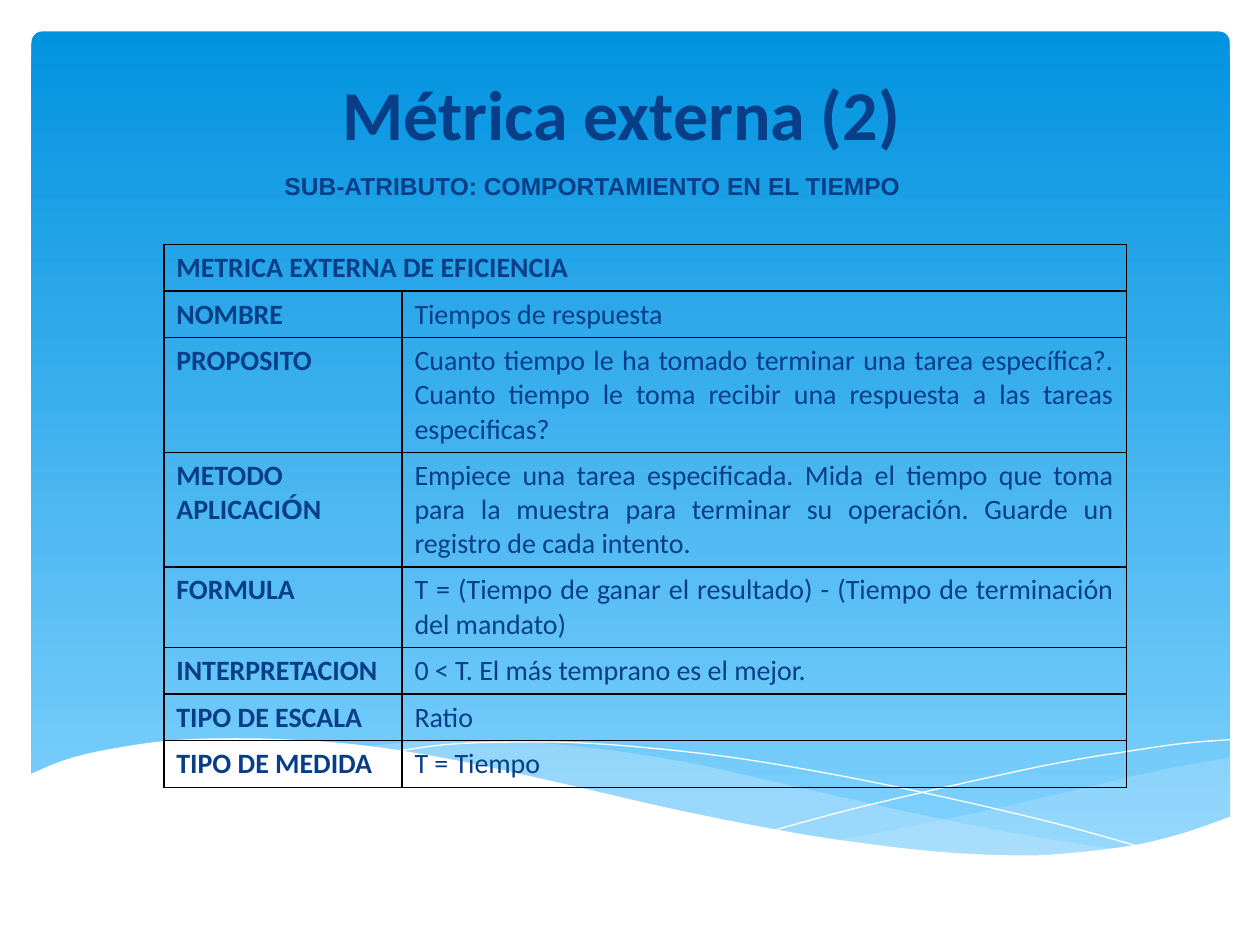
import pptx
import pptx.util
import pptx.dml.color
import pptx.enum.shapes
import pptx.enum.text
import pptx.oxml
import pptx.oxml.ns
import lxml.etree

Inches = pptx.util.Inches
Pt = pptx.util.Pt
ALIGN = pptx.enum.text.PP_ALIGN
ANCHOR = pptx.enum.text.MSO_ANCHOR
NAVY, WHITE, MIST = "073E87", "FFFFFF", "C6E7FC"
SKY = ("0293E0", "83D3FE")

HEADING = "Métrica externa (2)"
SUBATTRIBUTE = "SUB-ATRIBUTO: COMPORTAMIENTO EN EL TIEMPO"
METRIC_HEADER = "METRICA EXTERNA DE EFICIENCIA"
METRIC = [
    ("NOMBRE", "Tiempos de respuesta", 1),
    ("PROPOSITO", "Cuanto tiempo le ha tomado terminar una tarea específica?. "
     "Cuanto tiempo le toma recibir una respuesta a las tareas especificas?", 3),
    ([("METODO APLICACI", "Calibri"), ("Ó", "Arial"), ("N", "Calibri")],
     "Empiece una tarea especificada. Mida el tiempo que toma para la muestra "
     "para terminar su operación. Guarde un registro de cada intento.", 3),
    ("FORMULA", "T = (Tiempo de ganar el resultado) - (Tiempo de terminación del mandato)", 2),
    ("INTERPRETACION", "0 < T. El más temprano es el mejor.", 1),
    ("TIPO DE ESCALA", "Ratio", 1),
    ("TIPO DE MEDIDA", "T = Tiempo", 1),
]
COLUMNS = (1.89, 5.75)
LINE_HEIGHT, CELL_PADDING = 0.27, 0.1

RIGHT_SWELL = [
    [(9.77, 6.01), (9.22, 6.11), (8.62, 6.25), (7.8, 6.44), (7.07, 6.59), (6.62, 6.67)],
    [(6.62, 6.67), (7.06, 6.73), (7.58, 6.78), (8.04, 6.8), (8.55, 6.78),
     (9.07, 6.71), (9.44, 6.61), (9.77, 6.49)],
]
MIDDLE_SWELL = [
    [(8.94, 6.75), (8.38, 6.67), (7.42, 6.49), (6.3, 6.24), (5.55, 6.07), (4.89, 5.96),
     (4.2, 5.89), (3.62, 5.88), (3.14, 5.9), (2.87, 5.93)],
    [(2.87, 5.93), (3.43, 6.01), (4.05, 6.13), (4.5, 6.24), (5.3, 6.42), (6.02, 6.57),
     (6.81, 6.7), (7.49, 6.78), (8.08, 6.8), (8.59, 6.79), (8.94, 6.75)],
]
FALLING_LINE = [[(3.1, 5.97), (3.53, 5.91), (4.02, 5.89), (4.69, 5.9), (5.57, 5.98),
                 (6.36, 6.1), (7.28, 6.28), (8.32, 6.52), (9.08, 6.73)]]
RISING_LINE = [[(6.14, 6.59), (6.73, 6.43), (7.49, 6.25), (8.37, 6.06), (8.97, 5.96),
                (9.39, 5.9), (9.76, 5.87)]]
WHITE_WAVE = [
    [(9.77, 6.48), (9.4, 6.61), (8.99, 6.71), (8.5, 6.77), (8.09, 6.79), (7.44, 6.76),
     (6.68, 6.67), (6.03, 6.56), (5.29, 6.41), (4.47, 6.22), (3.65, 6.04), (2.92, 5.92),
     (2.3, 5.87), (1.77, 5.86), (1.32, 5.88), (0.85, 5.95), (0.52, 6.03), (0.23, 6.15)],
    [(0.23, 7.31), (9.77, 7.31)],
]


def rgb(value):
    return pptx.dml.color.RGBColor.from_string(value)


def write(frame, text, size=16, font="Calibri", color=NAVY, bold=False,
          align=ALIGN.LEFT, anchor=None):
    frame.word_wrap = True
    if anchor is not None:
        frame.vertical_anchor = anchor
    paragraph = frame.paragraphs[0]
    paragraph.alignment = align
    for words, face in [(text, font)] if isinstance(text, str) else text:
        run = paragraph.add_run()
        run.text = words
        run.font.name, run.font.size, run.font.bold = face, Pt(size), bold
        run.font.color.rgb = rgb(color)


def smooth(knots, steps=5):
    padded = [knots[0], *knots, knots[-1]]
    curve = [knots[0]]
    for a, b, c, d in zip(padded, padded[1:], padded[2:], padded[3:]):
        for t in (step / steps for step in range(1, steps + 1)):
            curve.append(tuple(
                (2 * q + (r - p) * t + (2 * p - 5 * q + 4 * r - s) * t ** 2
                 + (3 * q - p - 3 * r + s) * t ** 3) / 2
                for p, q, r, s in zip(a, b, c, d)))
    return curve


def add_wave(slide, edges, fill=None, opacity=100):
    points = [(Inches(x), Inches(y)) for edge in edges for x, y in smooth(edge)]
    builder = slide.shapes.build_freeform(*points[0])
    builder.add_line_segments(points[1:], close=fill is not None)
    wave = builder.convert_to_shape()
    wave.shadow.inherit = False
    if fill is None:
        wave.fill.background()
        wave.line.color.rgb = rgb(WHITE)
        wave.line.width = Pt(0)
        return
    wave.line.fill.background()
    wave.fill.solid()
    wave.fill.fore_color.rgb = rgb(fill)
    if opacity < 100:
        color = wave._element.spPr.find(".//" + pptx.oxml.ns.qn("a:srgbClr"))
        lxml.etree.SubElement(color, pptx.oxml.ns.qn("a:alpha"), val=str(opacity * 1000))


def add_borders(cell, color="000000", width=1):
    properties = cell._tc.get_or_add_tcPr()
    for position, side in enumerate("LRTB"):
        properties.insert(position, pptx.oxml.parse_xml(
            f'<a:ln{side} {pptx.oxml.ns.nsdecls("a")} w="{Pt(width)}"><a:solidFill>'
            f'<a:srgbClr val="{color}"/></a:solidFill></a:ln{side}>'))


def add_backdrop(slide):
    sky = slide.shapes.add_shape(pptx.enum.shapes.MSO_SHAPE.ROUNDED_RECTANGLE,
                                 Inches(0.25), Inches(0.25), Inches(9.51), Inches(6.6))
    sky.adjustments[0] = 0.013
    sky.shadow.inherit = False
    sky.line.fill.background()
    sky.fill.gradient()
    sky.fill.gradient_angle = 270
    for stop, color in zip(sky.fill.gradient_stops, SKY):
        stop.color.rgb = rgb(color)
    add_wave(slide, RIGHT_SWELL, MIST, 29)
    add_wave(slide, MIDDLE_SWELL, MIST, 40)
    add_wave(slide, FALLING_LINE)
    add_wave(slide, RISING_LINE)
    add_wave(slide, WHITE_WAVE, WHITE)


def add_metric_table(slide):
    heights = [lines * LINE_HEIGHT + CELL_PADDING for lines in [1] + [row[2] for row in METRIC]]
    table = slide.shapes.add_table(len(heights), len(COLUMNS), Inches(1.3), Inches(1.94),
                                   Inches(sum(COLUMNS)), Inches(sum(heights))).table
    table.first_row = table.horz_banding = False
    for column, width in zip(table.columns, COLUMNS):
        column.width = Inches(width)
    for row, height in zip(table.rows, heights):
        row.height = Inches(height)
    table.cell(0, 0).merge(table.cell(0, 1))
    for cell in (cell for row in table.rows for cell in row.cells):
        cell.fill.background()
        add_borders(cell)
    write(table.cell(0, 0).text_frame, METRIC_HEADER, bold=True)
    for index, (label, detail, lines) in enumerate(METRIC, start=1):
        write(table.cell(index, 0).text_frame, label, bold=True)
        write(table.cell(index, 1).text_frame, detail,
              align=ALIGN.JUSTIFY if lines > 1 else ALIGN.LEFT)


def main():
    deck = pptx.Presentation()
    deck.slide_width, deck.slide_height = Inches(10), Inches(7.5)
    slide = deck.slides.add_slide(deck.slide_layouts[5])
    add_backdrop(slide)
    heading = slide.shapes.title
    slide.shapes[-1]._element.addnext(heading._element)
    heading.left, heading.top = Inches(0.43), Inches(0.21)
    heading.width, heading.height = Inches(9), Inches(1.37)
    write(heading.text_frame, HEADING, size=40, bold=True,
          align=ALIGN.CENTER, anchor=ANCHOR.MIDDLE)
    subattribute = slide.shapes.add_textbox(Inches(2.16), Inches(1.31), Inches(5.2), Inches(0.33))
    write(subattribute.text_frame, SUBATTRIBUTE, size=14, font="Arial", bold=True)
    add_metric_table(slide)
    deck.save("out.pptx")


if __name__ == "__main__":
    main()
